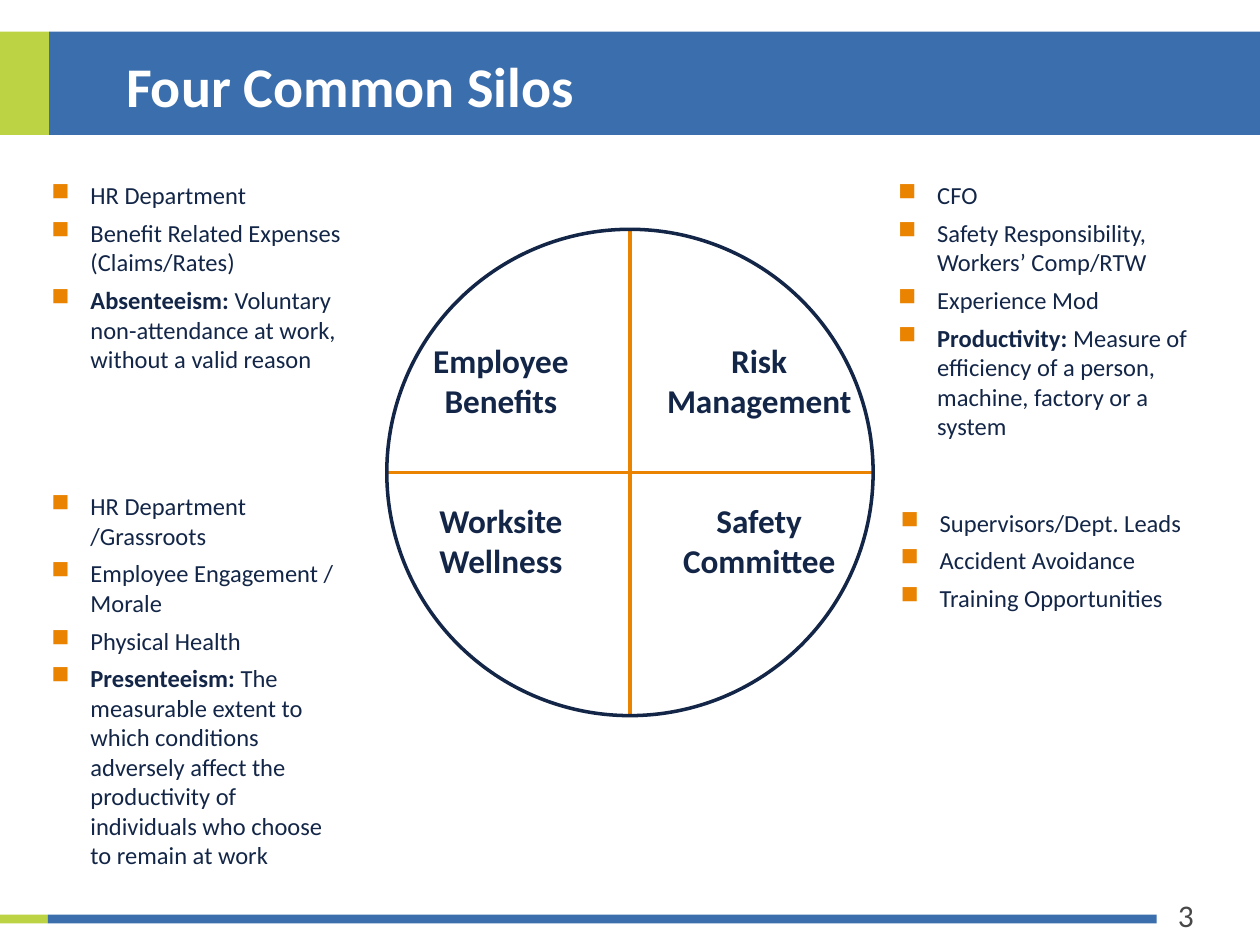
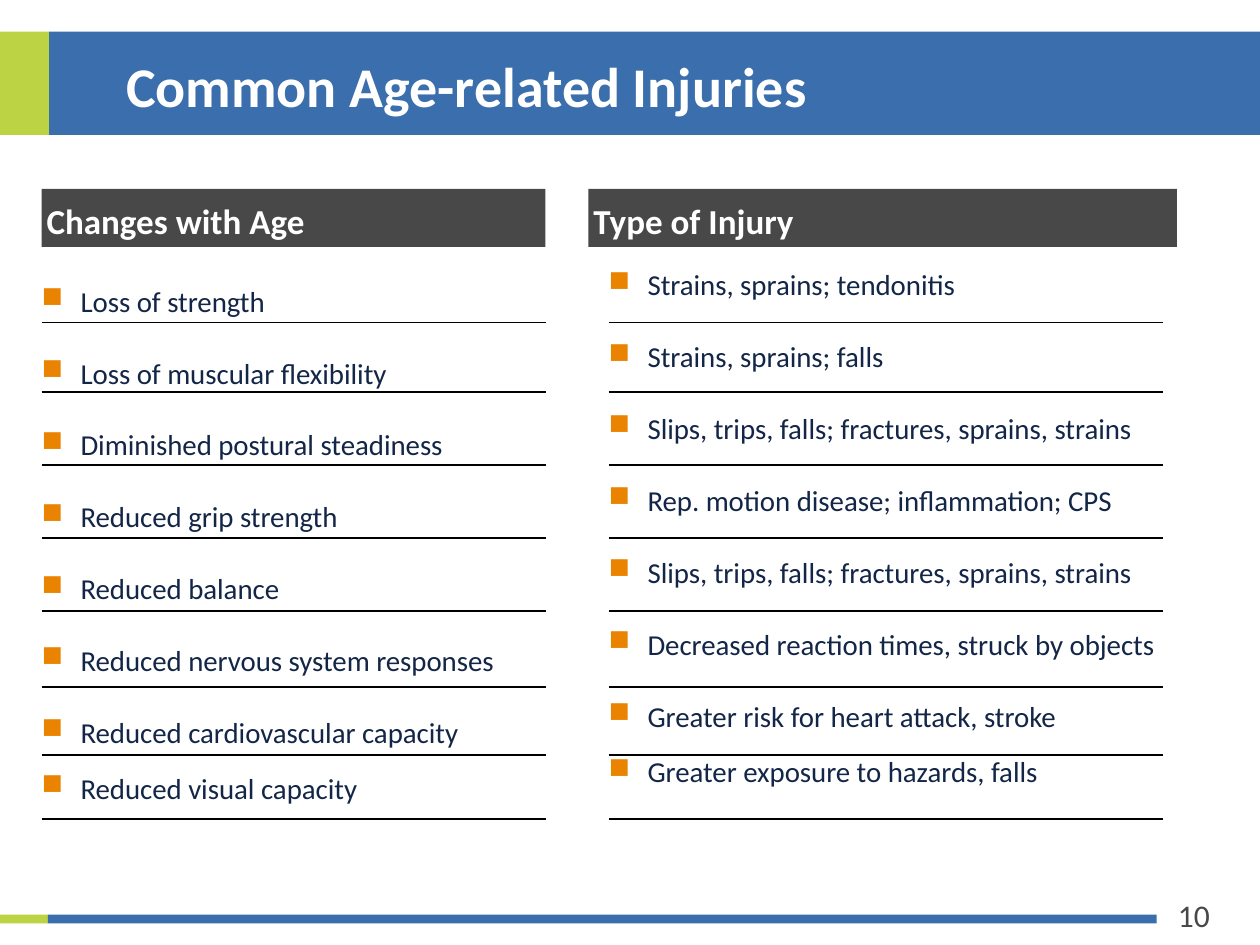
from lxml import etree
from pptx import Presentation
from pptx import util as u
from pptx.dml.color import RGBColor
from pptx.enum import shapes, text
from pptx.oxml import ns

COLORS = {
    "lime": "BCD343",
    "blue": "3B6EAC",
    "gray": "484848",
    "navy": "132647",
    "orange": "E98300",
    "white": "FFFFFF",
    "black": "000000",
}
FONT = "Calibri"
RECTANGLE = shapes.MSO_SHAPE.RECTANGLE
OVAL = shapes.MSO_SHAPE.OVAL


def color(name):
    return RGBColor.from_string(COLORS[name])


class SlideBuilder:
    """Holds the deck style and the slide being drawn."""

    def __init__(self):
        self.deck = Presentation()
        self.deck.slide_width = u.Inches(10)
        self.deck.slide_height = u.Inches(7.5)
        self.slide = None

    def start_slide(self, title, number):
        self.slide = self.deck.slides.add_slide(self.deck.slide_layouts[6])
        self.shape(RECTANGLE, 0, 0.25, 0.39, 0.82, fill="lime")
        self.shape(RECTANGLE, 0.39, 0.25, 9.61, 0.82, fill="blue")
        self.shape(RECTANGLE, -0.01, 7.26, 0.39, 0.07, fill="lime")
        self.shape(RECTANGLE, 0.38, 7.26, 8.8, 0.07, fill="blue")
        self.label(str(number), 9.25, 7.06, 0.59, 0.4, 18, "gray", margins=(0.1, 0.05))
        self.label(title, 1, 0.4, 7.72, 0.76, 32, "white", bold=True, margins=(0, 0.01))

    def shape(self, kind, left, top, width, height, fill=None, line=None):
        shape = self.slide.shapes.add_shape(
            kind, u.Inches(left), u.Inches(top), u.Inches(width), u.Inches(height))
        shape.shadow.inherit = False
        if fill:
            shape.fill.solid()
            shape.fill.fore_color.rgb = color(fill)
        else:
            shape.fill.background()
        if line:
            shape.line.color.rgb = color(line)
            shape.line.width = u.Pt(2)
        else:
            shape.line.fill.background()
        return shape

    def line(self, start, end, name, width):
        line = self.slide.shapes.add_connector(
            shapes.MSO_CONNECTOR.STRAIGHT, *(u.Inches(value) for value in start + end))
        line.line.color.rgb = color(name)
        line.line.width = u.Pt(width)
        etree.SubElement(line._element.spPr, ns.qn("a:effectLst"))

    def text_box(self, left, top, width, height, margins):
        box = self.slide.shapes.add_textbox(
            u.Inches(left), u.Inches(top), u.Inches(width), u.Inches(height))
        self.set_frame(box.text_frame, margins)
        return box.text_frame

    def set_frame(self, frame, margins):
        frame.word_wrap = True
        frame.vertical_anchor = text.MSO_ANCHOR.TOP
        frame.margin_left = frame.margin_right = u.Inches(margins[0])
        frame.margin_top = frame.margin_bottom = u.Inches(margins[1])

    def format_runs(self, para, size, name, bold=False):
        for span in para.runs:
            span.font.name = FONT
            span.font.size = u.Pt(size)
            span.font.color.rgb = color(name)
            span.font.bold = bold

    def label(self, words, left, top, width, height, size, name,
              bold=False, align=text.PP_ALIGN.LEFT, margins=(0, 0)):
        frame = self.text_box(left, top, width, height, margins)
        frame.text = words
        for para in frame.paragraphs:
            para.alignment = align
            self.format_runs(para, size, name, bold)

    def heading_bar(self, words, left, width):
        bar = self.shape(RECTANGLE, left, 1.5, width, 0.46, fill="gray")
        self.set_frame(bar.text_frame, (0.04, 0.08))
        bar.text_frame.text = words
        para = bar.text_frame.paragraphs[0]
        para.alignment = text.PP_ALIGN.LEFT
        self.format_runs(para, 20, "white", True)

    def add_bullet(self, para):
        props = para._p.get_or_add_pPr()
        props.set("marL", str(u.Inches(0.31)))
        props.set("indent", str(u.Inches(-0.33)))
        tint = etree.SubElement(props, ns.qn("a:buClr"))
        etree.SubElement(tint, ns.qn("a:srgbClr")).set("val", COLORS["orange"])
        etree.SubElement(props, ns.qn("a:buChar")).set("char", "■")

    def bullets(self, items, left, top, width, height, size, gap,
                margins=(0.1, 0.05), loose=()):
        """Lists the items; words up to a colon are bold, loose rows are spaced out."""
        frame = self.text_box(left, top, width, height, margins)
        for index, item in enumerate(items):
            para = frame.add_paragraph() if index else frame.paragraphs[0]
            self.add_bullet(para)
            if index:
                para.space_before = u.Pt(gap)
            if index in loose:
                para.line_spacing = 1.47
            lead, colon, rest = item.rpartition(": ")
            para.text = lead + colon or rest
            if colon:
                para.add_run().text = rest
            self.format_runs(para, size, "navy")
            para.runs[0].font.bold = bool(colon)


def draw_silos(builder):
    builder.start_slide("Four Common Silos", 3)
    silos = [["Employee\nBenefits", "Risk\nManagement"],
             ["Worksite\nWellness", "Safety\nCommittee"]]
    for row, names in enumerate(silos):
        for column, name in enumerate(names):
            builder.label(name, 2.95 + 2.05 * column, 2.7 + 1.27 * row, 2.05, 0.65,
                          19, "navy", bold=True, align=text.PP_ALIGN.CENTER)
    builder.line((5, 1.83), (5, 5.69), "orange", 2)
    builder.line((3.07, 3.75), (6.93, 3.75), "orange", 2)
    builder.shape(OVAL, 3.07, 1.82, 3.86, 3.86, line="navy")

    notes = [
        ((0.31, 1.38, 2.67, 1.65), [
            "HR Department",
            "Benefit Related Expenses (Claims/Rates)",
            "Absenteeism: Voluntary non-attendance at work, without a valid reason"]),
        ((0.31, 3.85, 2.54, 3.14), [
            "HR Department /Grassroots",
            "Employee Engagement / Morale",
            "Physical Health",
            "Presenteeism: The measurable extent to which conditions adversely affect "
            "the productivity of individuals who choose to remain at work"]),
        ((7.03, 1.38, 2.65, 2.2), [
            "CFO",
            "Safety Responsibility, Workers’ Comp/RTW",
            "Experience Mod",
            "Productivity: Measure of efficiency of a person, machine, factory or a system"]),
        ((7.05, 3.98, 2.65, 0.95), [
            "Supervisors/Dept. Leads",
            "Accident Avoidance",
            "Training Opportunities"]),
    ]
    for place, items in notes:
        builder.bullets(items, *place, size=14, gap=4.8)


def draw_injuries(builder):
    builder.start_slide("Common Age-related Injuries", 10)
    builder.heading_bar("Changes with Age", 0.33, 4)
    builder.heading_bar("Type of Injury", 4.67, 4.67)
    rows = [
        ("Loss of strength", "Strains, sprains; tendonitis"),
        ("Loss of muscular flexibility", "Strains, sprains; falls"),
        ("Diminished postural steadiness", "Slips, trips, falls; fractures, sprains, strains"),
        ("Reduced grip strength", "Rep. motion disease; inflammation; CPS"),
        ("Reduced balance", "Slips, trips, falls; fractures, sprains, strains"),
        ("Reduced nervous system responses", "Decreased reaction times, struck by objects"),
        ("Reduced cardiovascular capacity", "Greater risk for heart attack, stroke"),
        ("Reduced visual capacity", "Greater exposure to hazards, falls"),
    ]
    changes, injuries = zip(*rows)
    rule_tops = [2.56, 3.11, 3.69, 4.27, 4.85, 5.45, 5.99, 6.5]
    columns = [(changes, 0.33, 4, range(0, 7)), (injuries, 4.83, 4.4, range(1, 7))]
    for items, left, rule_width, loose in columns:
        builder.bullets(items, left, 2.12, 4.5, 4.73, 16.5, 12, margins=(0, 0), loose=loose)
        for top in rule_tops:
            builder.line((left, top), (left + rule_width, top), "black", 1)


def main():
    builder = SlideBuilder()
    draw_silos(builder)
    draw_injuries(builder)
    builder.deck.save("out.pptx")


if __name__ == "__main__":
    main()
